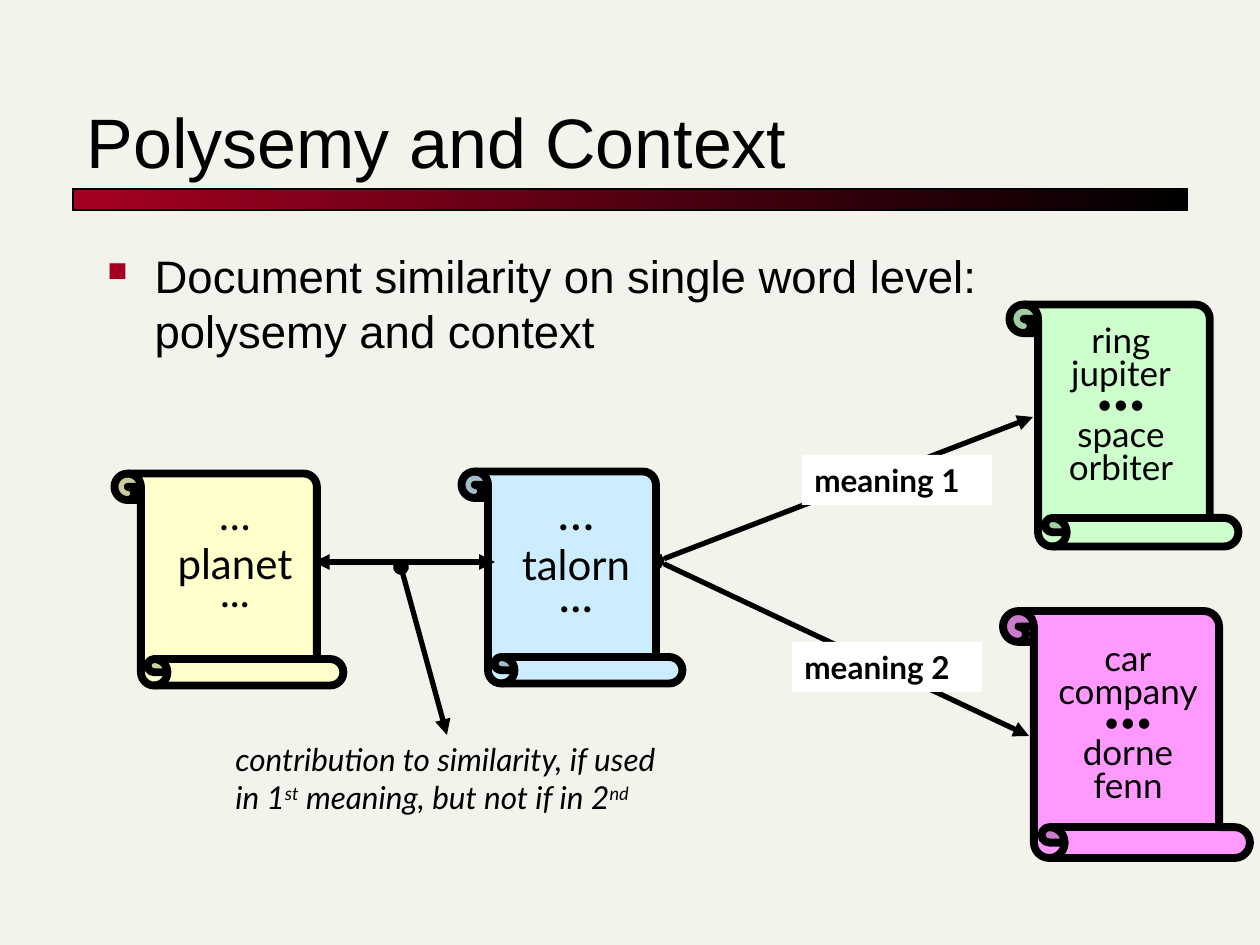
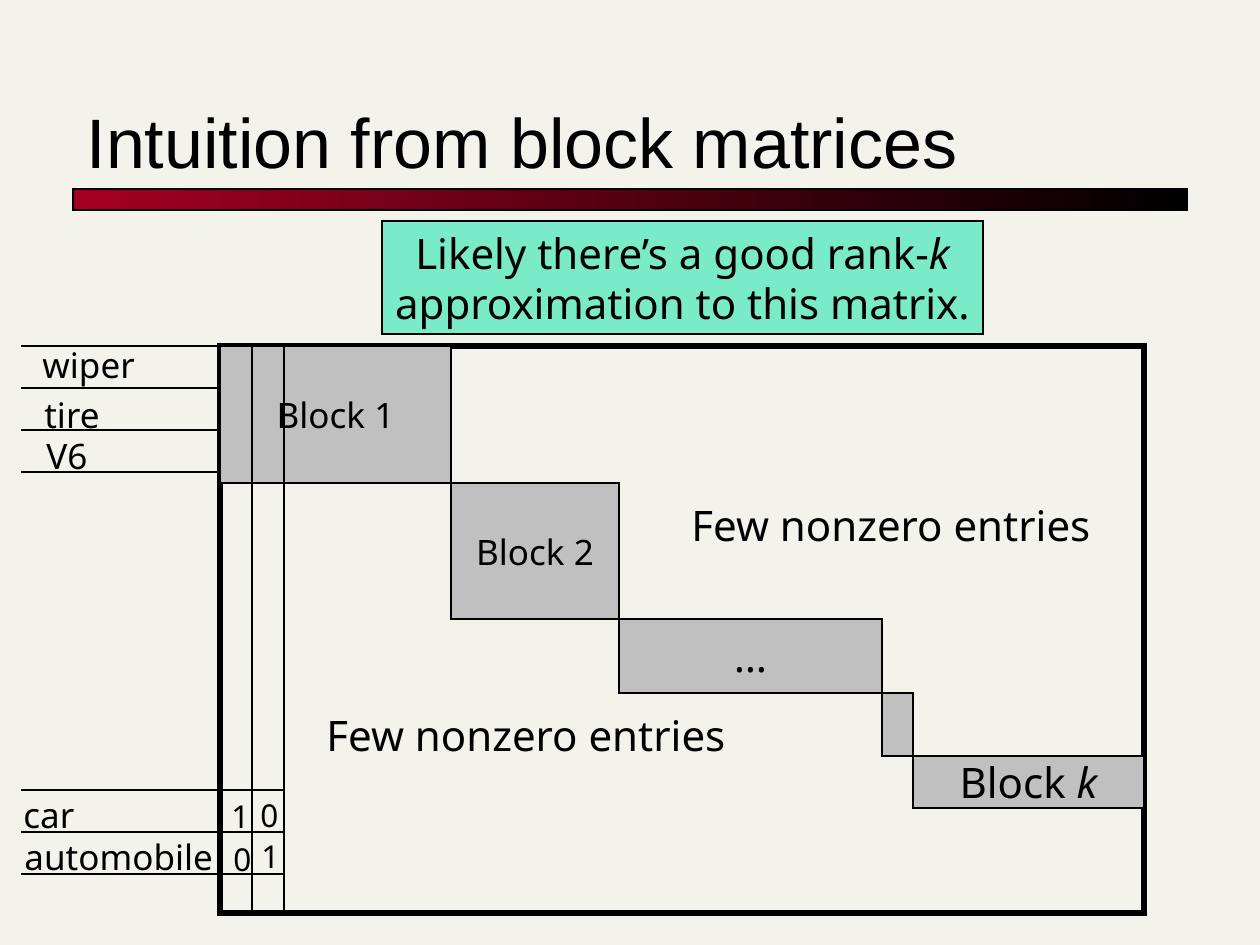
from itertools import accumulate
from lxml import etree
from pptx import Presentation
from pptx.dml.color import RGBColor
from pptx.enum.shapes import MSO_CONNECTOR, MSO_SHAPE
from pptx.enum.text import MSO_ANCHOR, MSO_AUTO_SIZE, PP_ALIGN
from pptx.oxml.ns import qn
from pptx.util import Emu, Pt

RECT, SCROLL = MSO_SHAPE.RECTANGLE, MSO_SHAPE.HORIZONTAL_SCROLL
STRAIGHT = MSO_CONNECTOR.STRAIGHT
LEFT, CENTER = PP_ALIGN.LEFT, PP_ALIGN.CENTER
TOP, MIDDLE, BOTTOM = MSO_ANCHOR.TOP, MSO_ANCHOR.MIDDLE, MSO_ANCHOR.BOTTOM
FIT, FIXED = MSO_AUTO_SIZE.SHAPE_TO_FIT_TEXT, MSO_AUTO_SIZE.NONE

# Shared look
SCALE = 914400 / 126
PAPER, INK, RED, GRAY = "F4F3EB", "000000", "A50021", "C0C0C0"
WHITE, MINT = "FFFFFF", "00E4A8"
HEAD, HAND, SANS = "Arial", "Lato", "Noto Sans"
THIN, BOLD, THICK = 0.74, 3, 4.5
TITLE_AT, BAR_AT = (74, 53, 1113, 136), (73, 189, 1114, 21)

# Slide 1: a line of text is (text, size, line spacing)
POINT = "Document similarity on single word level: polysemy and context"
POINT_AT = (95, 242, 1071, 672)


def words(*names):
    return [(n, 16 if n == "•••" else 20, 0.8) for n in names]


# Each sense: scroll, its colour, text place, text, arrow end, label, label place
SENSES = [
    ((1003, 611, 247, 247), "FF99FF", (1040, 638, 176, 174),
     words("car", "company", "•••", "dorne", "fenn"),
     (1029, 736), "meaning 2", (792, 642, 190, 50)),
    ((1003, 311, 242, 229), "CCFFCC", (1042, 320, 158, 174),
     words("ring", "jupiter", "•••", "space", "orbiter"),
     (1033, 417), "meaning 1", (802, 455, 190, 50)),
]
FORK = (658, 561)

# Each term: scroll, its colour, text place, text fill, text
TERMS = [
    ((466, 467, 212, 221), "CCECFF", (500, 491, 152, 134), "CCECFF",
     [("…", 28, 0.7), ("talorn", 24, 1), ("...", 28, 0.5)]),
    ((123, 465, 212, 229), "FFFFCC", (160, 496, 150, 123), None,
     [("…", 24, 0.7), ("planet", 24, 1), ("...", 24, 0.5)]),
]
LINK = ((314, 562), (495, 562))
NOTE = [("contribution to similarity, if used in 1", "i"), ("st", "i^"),
        (" meaning, but not if in 2", "i"), ("nd", "i^")]
NOTE_AT, NOTE_LINE = (223, 734, 449, 126), ((447, 735), (401, 567))

# Slide 2: each block is (text, size, width, height)
BLOCKS = [
    ("Block 1", 20, 231, 137), ("Block 2", 20, 168, 136), ("…", 24, 263, 74),
    ("", 20, 31, 63), ([("Block ", ""), ("k", "i")], 24, 231, 52),
]
MATRIX = (220, 346, 924, 567)
EDGE, STEP, COL = 21, 42, 32
ROWS_TOP, ROWS_LOW = 4, 3
LOW_Y = 790
LABELS = [
    ("Few nonzero entries", 24, (314, 703, 430, 63)),
    ("Few nonzero entries", 24, (679, 493, 430, 63)),
    ("wiper", 20, (30, 337, 130, 55)), ("tire", 20, (32, 387, 90, 55)),
    ("V6", 20, (34, 428, 76, 55)), ("car", 20, (11, 787, 86, 55)),
    ("automobile", 20, (12, 829, 230, 55)),
    ("1", 18, (219, 791, 43, 50)), ("1", 18, (249, 831, 43, 50)),
    ("0", 18, (248, 790, 45, 50)), ("0", 18, (221, 834, 43, 50)),
]
CLAIM = [([("Likely there’s a good rank-", ""), ("k", "i")], 24, 1),
         ("approximation to this matrix.", 24, 1)]
CLAIM_AT = (382, 221, 601, 113)


# Helpers
def px(*nums):
    return [Emu(round(n * SCALE)) for n in nums]


def tint(code):
    return RGBColor.from_string(code)


def sub(node, tag, **attrs):
    return etree.SubElement(node, qn(tag), attrs)


def write(frame, lines, font, align=LEFT, anchor=TOP, wrap=False, size=FIT):
    """Fill a frame; the flags of a run are b, i and ^ (raised)."""
    frame.word_wrap, frame.auto_size = wrap, size
    frame.vertical_anchor = anchor
    for n, (text, points, space) in enumerate(lines):
        para = frame.add_paragraph() if n else frame.paragraphs[0]
        para.alignment, para.line_spacing = align, space
        for part, flags in [(text, "")] if isinstance(text, str) else text:
            run = para.add_run()
            run.text = part
            face = run.font
            face.name, face.size = font, Pt(points)
            face.color.rgb = tint(INK)
            face.bold, face.italic = "b" in flags, "i" in flags
            if "^" in flags:
                run._r.get_or_add_rPr().set("baseline", "30000")


def shape(slide, kind, at, fill=None, line=0):
    item = slide.shapes.add_shape(kind, *px(*at))
    item.shadow.inherit = False
    if fill:
        item.fill.solid()
        item.fill.fore_color.rgb = tint(fill)
    else:
        item.fill.background()
    if line:
        item.line.color.rgb, item.line.width = tint(INK), Pt(line)
        if kind == RECT:
            sub(item._element.spPr.find(qn("a:ln")), "a:miter", lim="800000")
    else:
        item.line.fill.background()
    return item


def label(slide, at, lines, font, **opts):
    box = slide.shapes.add_textbox(*px(*at))
    write(box.text_frame, lines, font, **opts)
    return box


def rule(slide, start, end, width=THIN, head=None, tail=None):
    item = slide.shapes.add_connector(STRAIGHT, *px(*start, *end))
    item.line.color.rgb, item.line.width = tint(INK), Pt(width)
    props = item._element.spPr
    for tag, kind in (("a:headEnd", head), ("a:tailEnd", tail)):
        if kind:
            sub(props.find(qn("a:ln")), tag, type=kind)
    sub(props, "a:effectLst")


def scroll(slide, at, fill):
    item = shape(slide, SCROLL, at, fill, THICK)
    item.rotation = 270


def start(deck, title):
    slide = deck.slides.add_slide(deck.slide_layouts[5])
    bar = shape(slide, RECT, BAR_AT, line=THIN)
    bar.fill.gradient()
    bar.fill.gradient_angle = 0
    for stop, code in zip(bar.fill.gradient_stops, (RED, INK)):
        stop.color.rgb = tint(code)
    top = slide.shapes.title
    top.left, top.top, top.width, top.height = px(*TITLE_AT)
    write(top.text_frame, [(title, 40, 1)], HEAD,
          anchor=BOTTOM, wrap=True, size=FIXED)
    return slide


def bullet(para):
    props = para._p.get_or_add_pPr()
    props.set("marL", "342900")
    props.set("indent", "-342900")
    sub(sub(props, "a:buClr"), "a:srgbClr", val=RED)
    sub(props, "a:buSzPct", val="60000")
    sub(props, "a:buChar", char="■")


# Slides
def context(deck):
    slide = start(deck, "Polysemy and Context")
    body = label(slide, POINT_AT, [(POINT, 26, 1)], HEAD,
                 wrap=True, size=FIXED)
    bullet(body.text_frame.paragraphs[0])
    for at, fill, place, lines, tip, name, spot in SENSES:
        scroll(slide, at, fill)
        label(slide, place, lines, HAND, align=CENTER)
        rule(slide, FORK, tip, BOLD, "diamond", "triangle")
        tag = shape(slide, RECT, spot, WHITE)
        write(tag.text_frame, [([(name, "b")], 18, 1)], HAND)
    for at, fill, place, back, lines in TERMS:
        scroll(slide, at, fill)
        term = shape(slide, RECT, place, back)
        write(term.text_frame, lines, HAND, align=CENTER)
    rule(slide, *LINK, BOLD, "triangle", "triangle")
    label(slide, NOTE_AT, [(NOTE, 18, 1)], HAND, wrap=True)
    rule(slide, *NOTE_LINE, BOLD, "triangle", "oval")


def matrix(deck):
    slide = start(deck, "Intuition from block matrices")
    left, top, _, high = MATRIX
    shape(slide, RECT, MATRIX, line=BOLD)

    # Blocks step down the diagonal
    xs = accumulate((b[2] for b in BLOCKS), initial=left)
    ys = accumulate((b[3] for b in BLOCKS), initial=top)
    for (text, size, w, h), x, y in zip(BLOCKS, xs, ys):
        block = shape(slide, RECT, (x, y, w, h), GRAY, THIN)
        if text:
            write(block.text_frame, [(text, size, 1)], SANS,
                  align=CENTER, anchor=MIDDLE, size=FIXED)

    # Row and column rules
    last = left + 2 * COL
    for first, count, end in ((top, ROWS_TOP, left), (LOW_Y, ROWS_LOW, last)):
        for n in range(count):
            y = first + n * STEP
            rule(slide, (end, y), (EDGE, y))
    for x in (left + COL, last):
        rule(slide, (x, top), (x, top + high))

    # Row names, entries and remarks
    for text, size, at in LABELS:
        label(slide, at, [(text, size, 1)], SANS)

    claim = shape(slide, RECT, CLAIM_AT, MINT, THIN)
    color = claim._element.spPr.find(qn("a:solidFill")).find(qn("a:srgbClr"))
    sub(color, "a:alpha", val="50000")
    write(claim.text_frame, CLAIM, SANS, align=CENTER, anchor=MIDDLE)


def main():
    deck = Presentation()
    deck.slide_width, deck.slide_height = px(1260, 945)
    back = deck.slide_master.background.fill
    back.solid()
    back.fore_color.rgb = tint(PAPER)
    context(deck)
    matrix(deck)
    deck.save("out.pptx")


if __name__ == "__main__":
    main()
